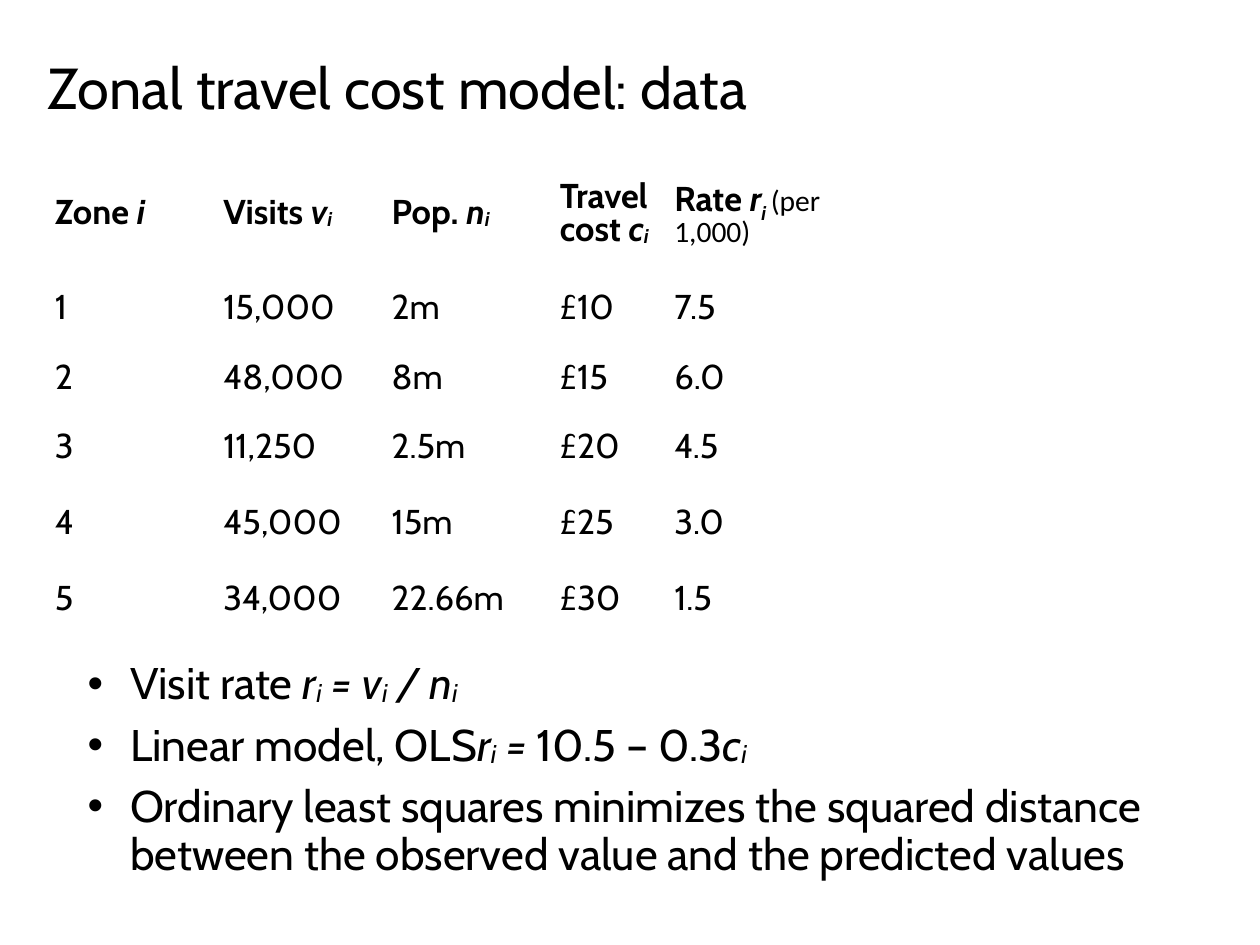
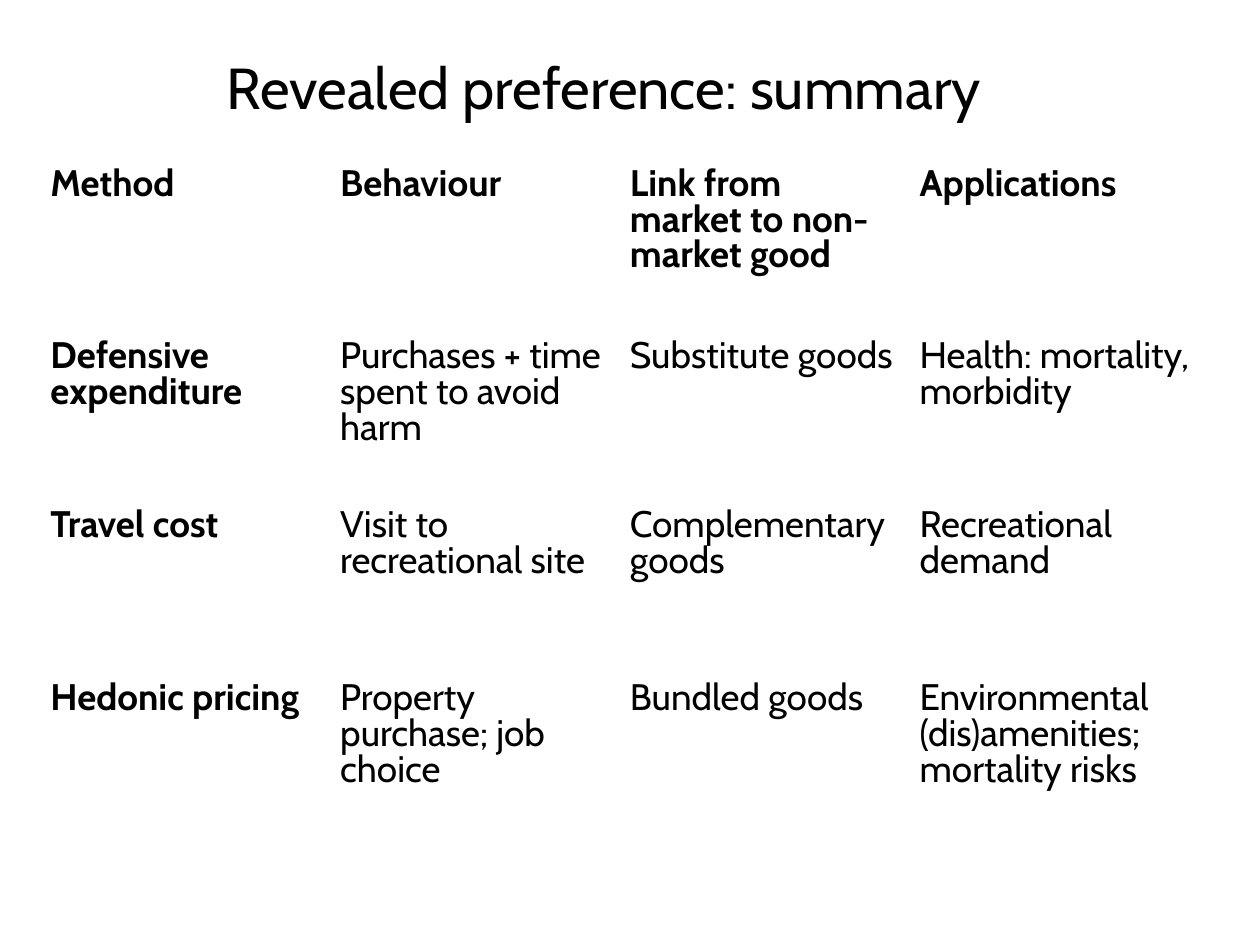
from dataclasses import dataclass

from lxml.etree import SubElement
from pptx import Presentation
from pptx.dml.color import RGBColor
from pptx.enum.text import MSO_ANCHOR as Anchor, PP_ALIGN as Align
from pptx.oxml.ns import qn
from pptx.util import Inches, Pt


@dataclass(frozen=True)
class Theme:
    font: str = "Cabin"
    note_font: str = "Calibri"
    ink: RGBColor = RGBColor(0, 0, 0)
    paper: RGBColor = RGBColor(255, 255, 255)
    title_size: float = 46.9
    body_size: float = 36
    data_size: float = 28
    summary_size: float = 30
    note_size: float = 24


THEME = Theme()

# A text is a list of runs: a plain string, or (string, format).
VARIABLE = {"italic": True}
SUBSCRIPT = {"italic": True, "baseline": -6}
LOW_SUBSCRIPT = {"italic": True, "baseline": -25}
NOTE = {"bold": False, "font": THEME.note_font, "size": THEME.note_size}


def indexed(name):
    return [(name, VARIABLE), ("i", SUBSCRIPT)]


DATA_TITLE = "Zonal travel cost model: data"
DATA_ROWS = [
    [["Zone ", ("i", VARIABLE)],
     ["Visits ", *indexed("v")],
     ["Pop. ", *indexed("n")],
     ["Travel cost ", *indexed("c")],
     ["Rate ", ("r", VARIABLE), ("i ", LOW_SUBSCRIPT), ("(per 1,000)", NOTE)]],
    ["1", "15,000", "2m", "£10", "7.5"],
    ["2", "48,000", "8m", "£15", "6.0"],
    ["3", "11,250", "2.5m", "£20", "4.5"],
    ["4", "45,000", "15m", "£25", "3.0"],
    ["5", "34,000", "22.66m", "£30", "1.5"],
]
DATA_WIDTHS = [1.9, 1.9, 1.9, 1.29, 2.52, 1.9, 1.9]
DATA_HEIGHTS = [1.29, 0.86, 0.7, 0.86, 0.86, 0.86]
DATA_POINTS = [
    ["Visit rate ", *indexed("r"), *indexed(" = v"), *indexed(" / n")],
    ["Linear model, OLS", *indexed("r"), (" = ", VARIABLE), "10.5 – 0.3",
     *indexed("c")],
    "Ordinary least squares minimizes the squared distance between "
    "the observed value and the predicted values",
]

SUMMARY_TITLE = "Revealed preference: summary"
SUMMARY_ROWS = [
    ["Method", "Behaviour", "Link from market to non-market good", "Applications"],
    ["Defensive expenditure", "Purchases + time spent to avoid harm",
     "Substitute goods", "Health: mortality, morbidity"],
    ["Travel cost", "Visit to recreational site",
     "Complementary goods", "Recreational demand"],
    ["Hedonic pricing", "Property purchase; job choice",
     "Bundled goods", "Environmental (dis)amenities; mortality risks"],
]
SUMMARY_WIDTHS = [3.27] * 4
SUMMARY_HEIGHTS = [1.95, 1.91, 1.95, 1.95]


def add_bullet(paragraph, indent):
    properties = paragraph._p.get_or_add_pPr()
    properties.set("marL", str(Inches(indent)))
    properties.set("indent", str(-Inches(indent)))
    SubElement(properties, qn("a:buFont"), typeface="Arial")
    SubElement(properties, qn("a:buChar"), char="•")


def add_run(paragraph, text, size, bold=False, italic=False, font=THEME.font,
            baseline=0):
    run = paragraph.add_run()
    run.text = text
    run.font.name = font
    run.font.size = Pt(size)
    run.font.bold = bold
    run.font.italic = italic
    run.font.color.rgb = THEME.ink
    if baseline:
        run.font._element.set("baseline", str(baseline * 1000))


def write(frame, paragraphs, size, bold=False, align=Align.LEFT,
          line_spacing=0.9, space_before=0, bullet_indent=None):
    frame.word_wrap = True
    for index, runs in enumerate(paragraphs):
        paragraph = frame.add_paragraph() if index else frame.paragraphs[0]
        paragraph.alignment = align
        paragraph.line_spacing = line_spacing
        paragraph.space_before = Pt(space_before if index else 0)
        if bullet_indent:
            add_bullet(paragraph, bullet_indent)
        for run in [runs] if isinstance(runs, str) else runs:
            text, style = (run, {}) if isinstance(run, str) else run
            add_run(paragraph, text, **{"size": size, "bold": bold, **style})


def add_text(slide, box, paragraphs, anchor=Anchor.TOP, **text_format):
    frame = slide.shapes.add_textbox(*map(Inches, box)).text_frame
    frame.vertical_anchor = anchor
    write(frame, paragraphs, **text_format)


def add_title_slide(presentation, title, left, align):
    """Add a blank slide carrying the shared title style."""
    slide = presentation.slides.add_slide(presentation.slide_layouts[6])
    slide.background.fill.solid()
    slide.background.fill.fore_color.rgb = THEME.paper
    add_text(slide, (left, 0, 12.27, 2.06), [title], anchor=Anchor.MIDDLE,
             size=THEME.title_size, align=align)
    return slide


def add_plain_table(slide, left, top, widths, heights, rows, size, margin,
                    anchor=Anchor.TOP, bold_first_column=False):
    box = map(Inches, (left, top, sum(widths), sum(heights)))
    table = slide.shapes.add_table(len(heights), len(widths), *box).table
    table.first_row = table.horz_banding = False
    for column, width in zip(table.columns, widths):
        column.width = Inches(width)
    for row, height in zip(table.rows, heights):
        row.height = Inches(height)
    for cell in table.iter_cells():
        cell.fill.background()
        cell.vertical_anchor = anchor
        cell.margin_left = cell.margin_right = Inches(margin)
        cell.margin_top = cell.margin_bottom = Inches(margin)
    for row_index, row in enumerate(rows):
        for column_index, text in enumerate(row):
            bold = row_index == 0 or (bold_first_column and column_index == 0)
            write(table.cell(row_index, column_index).text_frame, [text],
                  size=size, bold=bold, line_spacing=0.8)


def build_data_slide(presentation):
    slide = add_title_slide(presentation, DATA_TITLE, 0.44, Align.LEFT)
    add_text(slide, (0.89, 7.42, 12.44, 2.58), DATA_POINTS,
             size=THEME.body_size, space_before=11, bullet_indent=0.48)
    add_plain_table(slide, 0.56, 1.78, DATA_WIDTHS, DATA_HEIGHTS, DATA_ROWS,
                    THEME.data_size, margin=0.06, anchor=Anchor.MIDDLE)


def build_summary_slide(presentation):
    slide = add_title_slide(presentation, SUMMARY_TITLE, 0.68, Align.CENTER)
    add_plain_table(slide, 0.46, 1.78, SUMMARY_WIDTHS, SUMMARY_HEIGHTS,
                    SUMMARY_ROWS, THEME.summary_size, margin=0.11,
                    bold_first_column=True)


def main():
    presentation = Presentation()
    presentation.slide_width = Inches(14.22)
    presentation.slide_height = Inches(10.67)
    build_data_slide(presentation)
    build_summary_slide(presentation)
    presentation.save("out.pptx")


if __name__ == "__main__":
    main()
